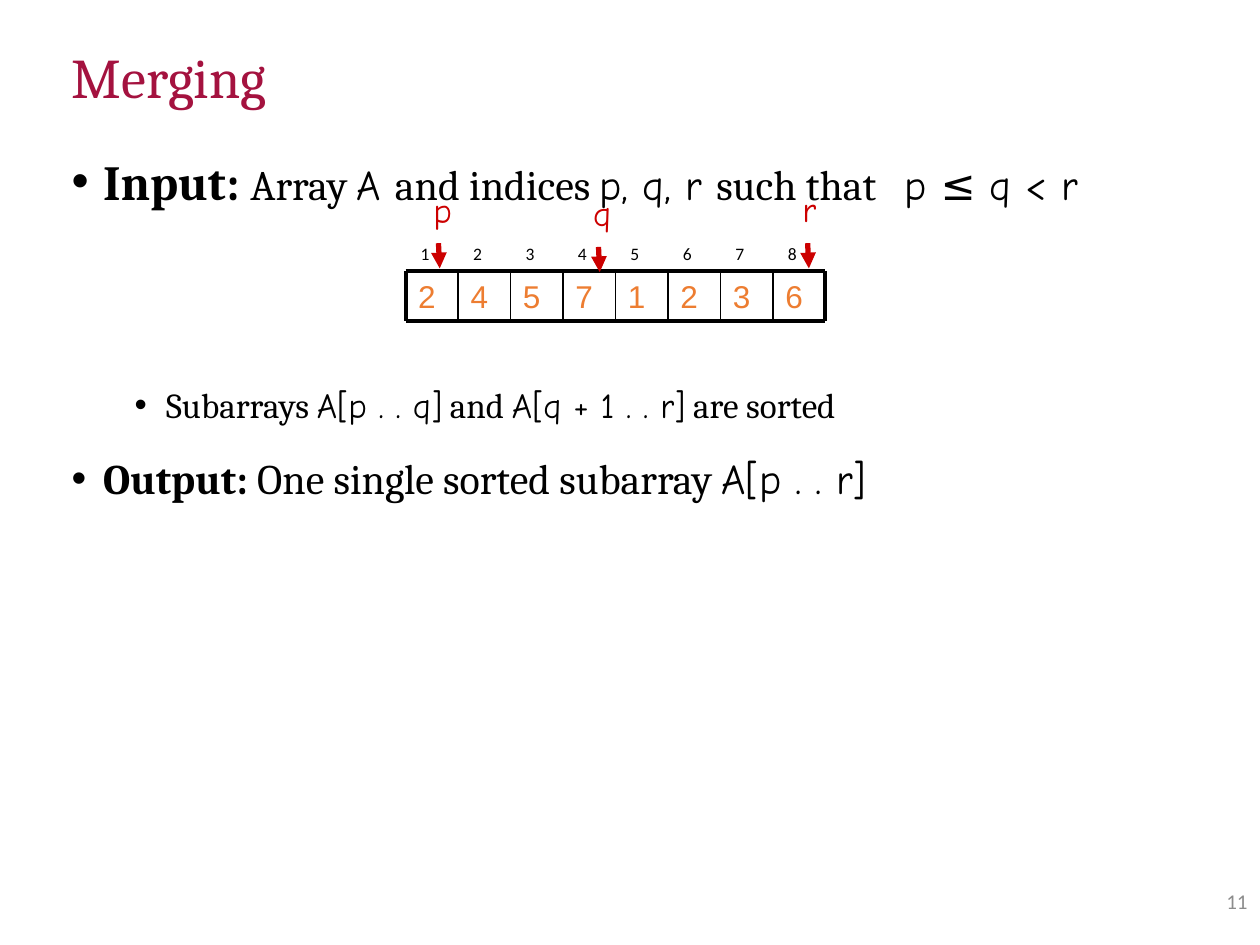
from lxml.etree import SubElement
from pptx import Presentation
from pptx.dml.color import RGBColor
from pptx.enum.shapes import MSO_CONNECTOR
from pptx.enum.text import MSO_ANCHOR, PP_ALIGN
from pptx.oxml.ns import qn
from pptx.util import Inches, Pt

COLORS = {"title": "A4123F", "text": "000000", "number": "8C8C8C",
          "value": "ED7D31", "pointer": "CC0000"}
SERIF, SYMBOL = "Cambria", "Comic Neue"


def add_text(box, text, size, font_name, color, bold=None, paragraph=None):
    """Append a formatted run to the box and return its paragraph."""
    paragraph = paragraph or box.text_frame.paragraphs[0]
    run = paragraph.add_run()
    run.text = text
    for name, value in {"size": Pt(size), "name": font_name, "bold": bold}.items():
        setattr(run.font, name, value)
    run.font.color.rgb = RGBColor.from_string(COLORS[color])
    return paragraph


def add_line(start, end, width, color, arrow=False):
    line = slide.shapes.add_connector(
        MSO_CONNECTOR.STRAIGHT, *(Inches(value) for value in (*start, *end)))
    line.line.width = Pt(width)
    line.line.color.rgb = RGBColor.from_string(COLORS[color])
    if arrow:
        SubElement(line.line._get_or_add_ln(), qn("a:tailEnd"), type="triangle")
    SubElement(line._element.spPr, qn("a:effectLst"))


presentation = Presentation()
presentation.slide_width, presentation.slide_height = Inches(10), Inches(7.5)
slide = presentation.slides.add_slide(presentation.slide_layouts[5])

title = slide.shapes.title
title_place = {"left": 0.47, "top": 0.38, "width": 9.19, "height": 0.51}
for name, value in title_place.items():
    setattr(title, name, Inches(value))
title.text_frame.vertical_anchor = MSO_ANCHOR.MIDDLE
paragraph = add_text(title, "Merging", 32, SERIF, "title")
paragraph.alignment = PP_ALIGN.LEFT
paragraph.line_spacing = 0.9

# Body: left margin, space before, and runs of (text, size, font, bold)
body = slide.shapes.add_textbox(Inches(0.47), Inches(1.06), Inches(9.19), Inches(5.55))
body.text_frame.word_wrap = True
body_paragraphs = [
    (0.25, 0, [("Input: ", 28, SERIF, True), ("Array ", 24, SERIF, False),
               ("A ", 24, SYMBOL, False), ("and indices ", 24, SERIF, False),
               ("p, q, r ", 24, SYMBOL, False), ("such that", 24, SERIF, False),
               ("  p ≤ q < r", 24, SYMBOL, False)]),
    (0.75, 94, [("Subarrays ", 20, SERIF, False), ("A[p . . q]", 20, SYMBOL, False),
                (" and ", 20, SERIF, False), ("A[q + 1 . . r]", 20, SYMBOL, False),
                (" are sorted", 20, SERIF, False)]),
    (0.25, 10, [("Output: ", 24, SERIF, True),
                ("One single sorted subarray ", 24, SERIF, False),
                ("A[p . . r]", 24, SYMBOL, False)]),
]
for index, (margin, space_before, runs) in enumerate(body_paragraphs):
    paragraph = body.text_frame.add_paragraph() if index else body.text_frame.paragraphs[0]
    paragraph.level = 1 if margin > 0.5 else 0
    paragraph.line_spacing = 1.2
    paragraph.space_before = Pt(space_before)
    properties = paragraph._p.get_or_add_pPr()
    properties.set("marL", str(Inches(margin)))
    properties.set("indent", str(Inches(-0.25)))
    SubElement(properties, qn("a:buFont"), typeface="Arial")
    SubElement(properties, qn("a:buChar"), char="•")
    for text, size, font_name, bold in runs:
        add_text(body, text, size, font_name, "text", bold, paragraph)

slide_number = slide.shapes.add_textbox(Inches(7.75), Inches(6.95), Inches(2.25), Inches(0.4))
slide_number.text_frame.word_wrap = True
slide_number.text_frame.vertical_anchor = MSO_ANCHOR.MIDDLE
add_text(slide_number, "11", 12, "Calibri", "number").alignment = PP_ALIGN.RIGHT

# Array cells with their indices above
values = [2, 4, 5, 7, 1, 2, 3, 6]
array_left, array_right, array_top, array_bottom = 3.22, 6.55, 2.15, 2.55
cell_width = (array_right - array_left) / len(values)
for index, value in enumerate(values):
    left = array_left + index * cell_width
    for text, x, y, width, height, size, font_name, color in (
            (index + 1, left + 0.02, 1.88, 0.25, 0.27, 10, "Calibri", "text"),
            (value, left, array_top, cell_width, 0.4, 18, "Arial", "value")):
        box = slide.shapes.add_textbox(Inches(x), Inches(y), Inches(width), Inches(height))
        box.text_frame.word_wrap = True
        add_text(box, str(text), size, font_name, color)

for y in (array_top, array_bottom):
    add_line((array_left, y), (array_right, y), 2.25, "text")
for index in range(len(values) + 1):
    x = array_left + index * cell_width
    line_width = 2.25 if index in (0, len(values)) else 1
    add_line((x, array_top), (x, array_bottom), line_width, "text")

# Index pointers: arrow start and label top
for label, x, y, label_top in (("p", 3.48, 1.93, 1.45), ("r", 6.41, 1.93, 1.44),
                               ("q", 4.75, 1.96, 1.47)):
    add_line((x, y), (x + 0.01, y + 0.2), 3, "pointer", arrow=True)
    box = slide.shapes.add_textbox(Inches(x - 0.14), Inches(label_top), Inches(0.35), Inches(0.43))
    box.text_frame.word_wrap = False
    add_text(box, label, 20, SYMBOL, "pointer")

presentation.save("out.pptx")
